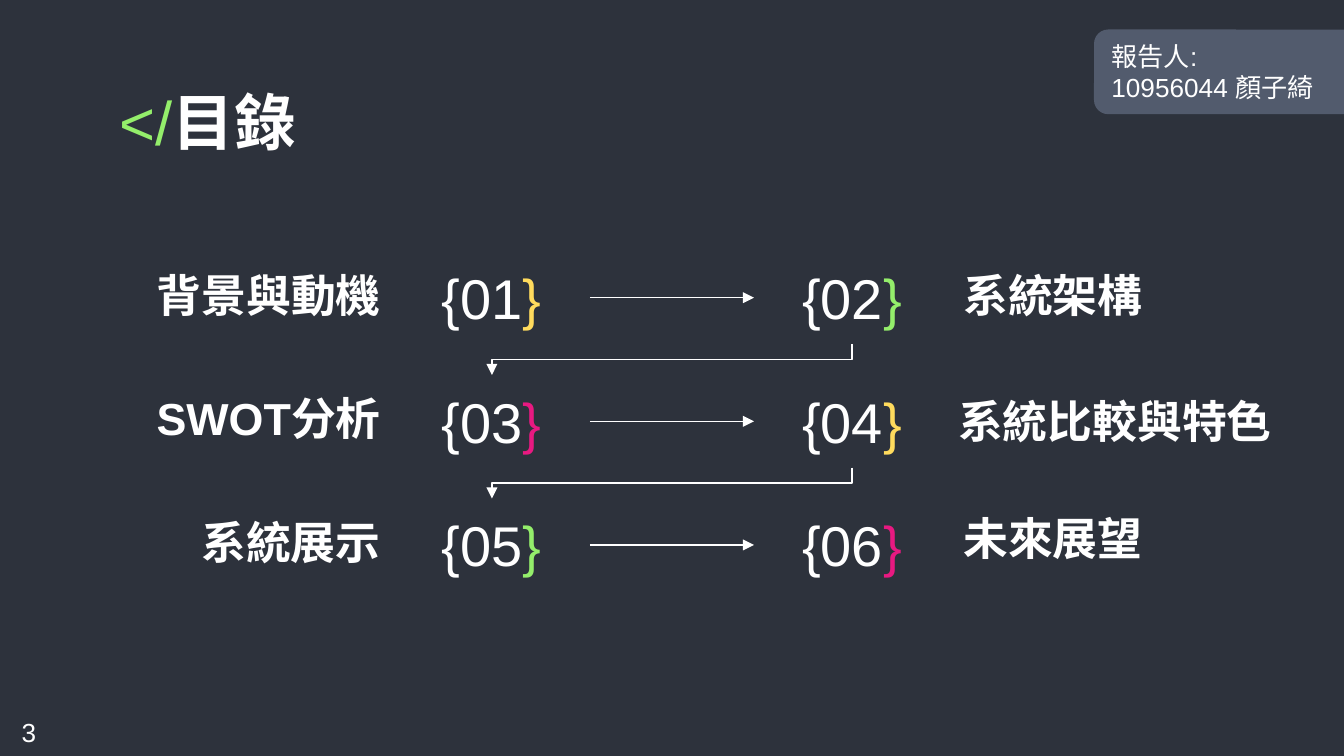
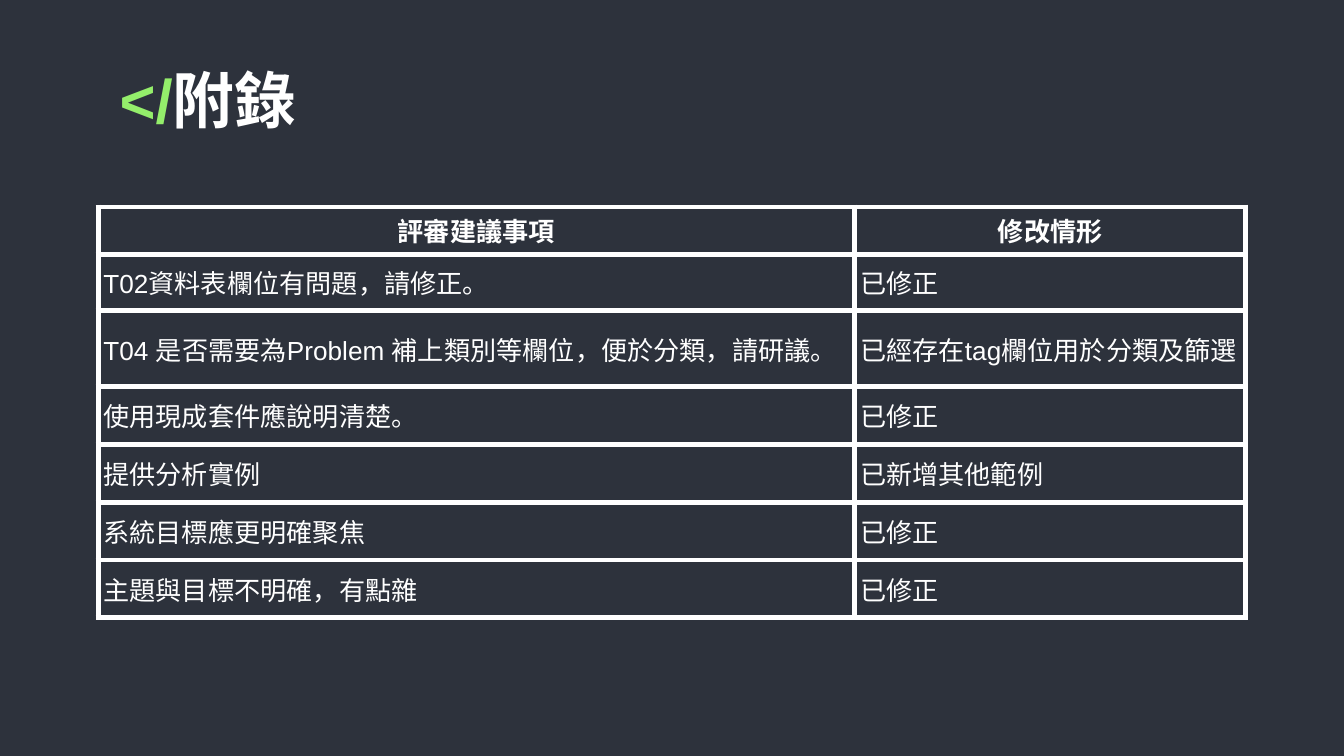
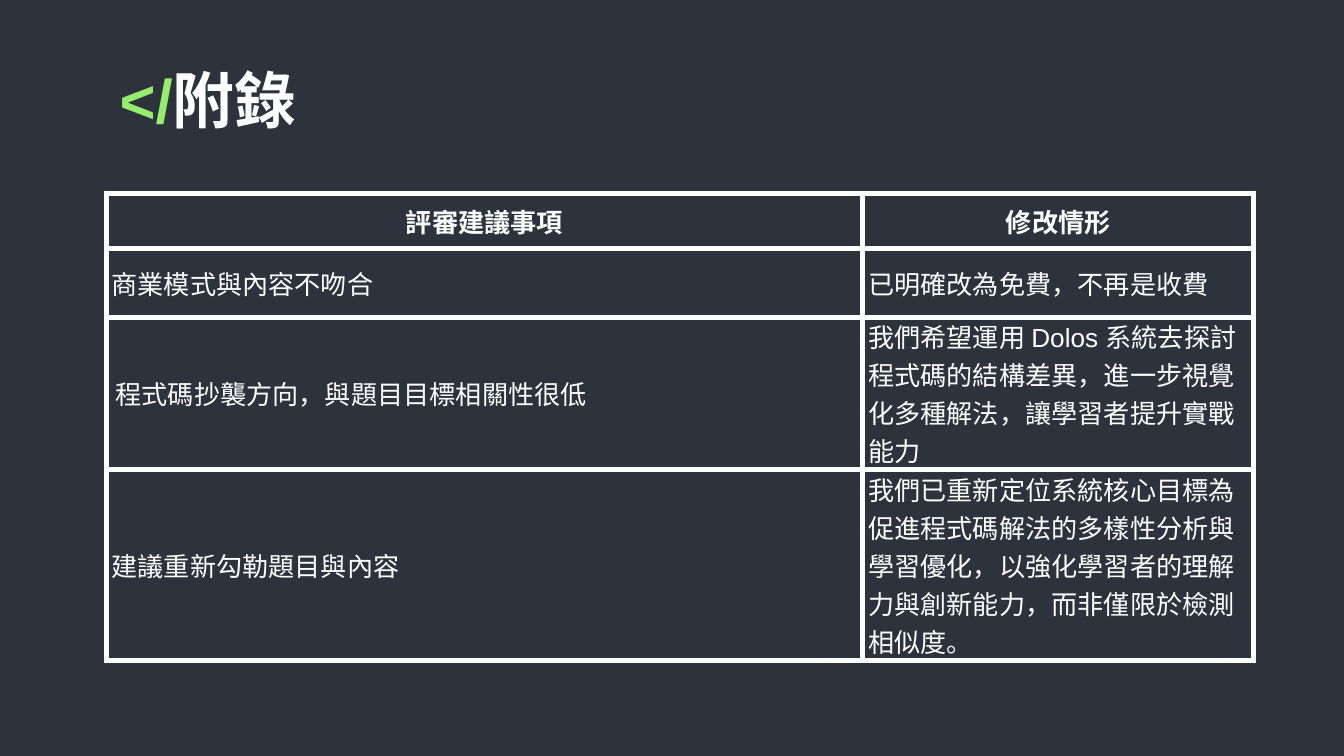
from lxml import etree
from pptx import Presentation
from pptx.dml.color import RGBColor
from pptx.enum.shapes import MSO_CONNECTOR, MSO_SHAPE
from pptx.enum.text import MSO_ANCHOR, PP_ALIGN
from pptx.oxml.ns import qn
from pptx.util import Inches, Pt

LEFT, MID, RIGHT = PP_ALIGN.LEFT, PP_ALIGN.CENTER, PP_ALIGN.RIGHT
TOP, CENTER, BOTTOM = MSO_ANCHOR.TOP, MSO_ANCHOR.MIDDLE, MSO_ANCHOR.BOTTOM
STRAIGHT, ELBOW = MSO_CONNECTOR.STRAIGHT, MSO_CONNECTOR.ELBOW
ROUND = MSO_SHAPE.ROUNDED_RECTANGLE

COLORS = {"back": "2D323C", "tag": "525B6D", "white": "FFFFFF",
          "green": "94EE6B", "gold": "FFDB5D", "pink": "E81981"}
LATIN, HAN = "Arial", "Noto Sans CJK SC"
WIDE, HIGH = 10, 10 * 9 / 16

# Agenda: label runs, then label box (left, top, width, height)
TOPICS = [
    ([("背景與動機", HAN)], (0.79, 1.99, 2.14, 0.5)),
    ([("系統架構", HAN)], (7.07, 1.99, 2.14, 0.5)),
    ([("SWOT", LATIN), ("分析", HAN)], (0.79, 2.91, 2.14, 0.5)),
    ([("系統比較與特色", HAN)], (7.03, 3.01, 2.68, 0.42)),
    ([("系統展示", HAN)], (0.79, 3.83, 2.14, 0.5)),
    ([("未來展望", HAN)], (7.07, 3.8, 2.14, 0.5)),
]
BRACES = ["gold", "green", "pink"]
NUM_X, NUM_Y, NUM_W, NUM_H = (2.93, 5.61), 1.87, 1.46, 0.69
STEP = 0.92
SPEAKER = ["報告人:", "10956044 顏子綺"]

HEAD = ("評審建議事項", "修改情形")
COLS = (5.63, 2.91)
REVIEWS = [
    {"at": (0.73, 1.54), "rows": (0.35, 0.42, 0.36, 0.43, 0.43, 0.43, 0.43),
     "cells": [
         HEAD,
         ("T02資料表欄位有問題，請修正。", "已修正"),
         ("T04 是否需要為Problem 補上類別等欄位，便於分類，請研議。",
          "已經存在tag欄位用於分類及篩選"),
         ("使用現成套件應說明清楚。", "已修正"),
         ("提供分析實例", "已新增其他範例"),
         ("系統目標應更明確聚焦", "已修正"),
         ("主題與目標不明確，有點雜", "已修正")]},
    {"at": (0.79, 1.44), "rows": (0.41, 0.51, 1.09, 1.36),
     "inset": (2, 0),
     "cells": [
         HEAD,
         ("商業模式與內容不吻合", "已明確改為免費，不再是收費"),
         ("程式碼抄襲方向，與題目目標相關性很低",
          "我們希望運用 Dolos 系統去探討程式碼的結構差異，進一步視覺化多種解法，讓學習者提升實戰能力"),
         ("建議重新勾勒題目與內容",
          "我們已重新定位系統核心目標為促進程式碼解法的多樣性分析與學習優化，"
          "以強化學習者的理解力與創新能力，而非僅限於檢測相似度。")]},
]


def rgb(name):
    return RGBColor.from_string(COLORS[name])


def inch(*sizes):
    return [Inches(size) for size in sizes]


def write(frame, paras, size=14, bold=False, align=LEFT, anchor=TOP,
          inset=(0.1, 0.1), after=0, space=None):
    """Fill a frame; each paragraph is a list of (text, font, colour) runs."""
    frame.word_wrap = True
    frame.vertical_anchor = anchor
    frame.margin_left = frame.margin_right = Inches(inset[0])
    frame.margin_top = frame.margin_bottom = Inches(inset[1])
    for i, runs in enumerate(paras):
        para = frame.add_paragraph() if i else frame.paragraphs[0]
        para.alignment = align
        para.space_after = Pt(after)
        if space:
            para.line_spacing = space
        for text, face, color, *weight in runs:
            run = para.add_run()
            run.text = text
            font = run.font
            font.size, font.name = Pt(size), face
            font.bold = weight[0] if weight else bold
            font.color.rgb = rgb(color)
            east = etree.SubElement(font._element, qn("a:ea"))
            east.set("typeface", HAN)


def label(slide, box, paras, **style):
    write(slide.shapes.add_textbox(*inch(*box)).text_frame, paras, **style)


def start(deck, title, top, heavy):
    slide = deck.slides.add_slide(deck.slide_layouts[5])
    head = slide.shapes.title
    head.left, head.top, head.width, head.height = inch(0.79, top, 8.43, 0.63)
    write(head.text_frame, [[("</", LATIN, "green", heavy),
                             (title, HAN, "white", True)]], 33, space=0.9)
    return slide


def arrow(slide, kind, begin, end):
    line = slide.shapes.add_connector(kind, *inch(*begin, *end))
    line.line.color.rgb = rgb("white")
    line.line.width = Pt(0.75)
    etree.SubElement(line.line._get_or_add_ln(), qn("a:tailEnd"), type="triangle")
    etree.SubElement(line._element.spPr, qn("a:effectLst"))
    return line


def turn(slide, begin, end):
    """Draw an elbow that leaves downward, as a quarter-turned connector."""
    mid_x, mid_y = (begin[0] + end[0]) / 2, (begin[1] + end[1]) / 2
    half_w, half_h = (end[1] - begin[1]) / 2, (begin[0] - end[0]) / 2
    line = arrow(slide, ELBOW, (mid_x - half_w, mid_y - half_h),
                 (mid_x + half_w, mid_y + half_h))
    line._element.spPr.find(qn("a:xfrm")).set("rot", str(90 * 60000))


def agenda(deck):
    slide = start(deck, "目錄", 0.59, False)
    for i, (runs, box) in enumerate(TOPICS):
        row, col = divmod(i, 2)
        label(slide, (NUM_X[col], NUM_Y + row * STEP, NUM_W, NUM_H),
              [[(f"{{0{i + 1}", LATIN, "white"),
                ("}", LATIN, BRACES[i % 3])]],
              size=30, align=MID, anchor=BOTTOM)
        label(slide, box, [[(text, face, "white") for text, face in runs]],
              size=24, bold=True, align=LEFT if col else RIGHT, anchor=BOTTOM)
    left, right = (x + NUM_W / 2 for x in NUM_X)
    for row in range(3):
        top = NUM_Y + row * STEP
        mid = top + NUM_H / 2
        arrow(slide, STRAIGHT, (NUM_X[0] + NUM_W, mid), (NUM_X[1], mid))
        if row < 2:
            turn(slide, (right, top + NUM_H), (left, top + STEP))
    label(slide, (0, HIGH - 0.34, 0.43, 0.34), [[("3", LATIN, "white")]],
          align=MID, inset=(0.1, 0.05))
    tag = slide.shapes.add_shape(ROUND, *inch(8.14, 0.22, 1.99, 0.63))
    tag.shadow.inherit = False
    tag.fill.solid()
    tag.fill.fore_color.rgb = rgb("tag")
    tag.line.fill.background()
    write(tag.text_frame, [[(text, LATIN, "white")] for text in SPEAKER],
          inset=(0.1, 0.05))


def frame_cell(cell):
    props = cell._tc.get_or_add_tcPr()
    for side in ("lnL", "lnR", "lnT", "lnB"):
        edge = etree.SubElement(props, qn(f"a:{side}"), w=str(Pt(3)))
        fill = etree.SubElement(edge, qn("a:solidFill"))
        etree.SubElement(fill, qn("a:srgbClr"), val=COLORS["white"])
    cell.fill.background()


def review(deck, data):
    slide = start(deck, "附錄", 0.42, True)
    rows = data["rows"]
    table = slide.shapes.add_table(
        len(rows), len(COLS), *inch(*data["at"], sum(COLS), sum(rows))).table
    table.first_row = table.horz_banding = False
    for c, width in enumerate(COLS):
        table.columns[c].width = Inches(width)
    for r, height in enumerate(rows):
        table.rows[r].height = Inches(height)
        for c, text in enumerate(data["cells"][r]):
            cell = table.cell(r, c)
            loose = data.get("inset") == (r, c)
            side = 0.07 if loose else 0.04
            write(cell.text_frame, [[(text, LATIN, "white")]], bold=r == 0,
                  align=LEFT if r else MID, after=0 if loose else 6)
            cell.vertical_anchor = CENTER
            cell.margin_left = cell.margin_right = Inches(side)
            cell.margin_top = cell.margin_bottom = 0
            frame_cell(cell)


def main():
    deck = Presentation()
    deck.slide_width, deck.slide_height = inch(WIDE, HIGH)
    back = deck.slide_master.background.fill
    back.solid()
    back.fore_color.rgb = rgb("back")
    agenda(deck)
    for data in REVIEWS:
        review(deck, data)
    deck.save("out.pptx")


if __name__ == "__main__":
    main()
